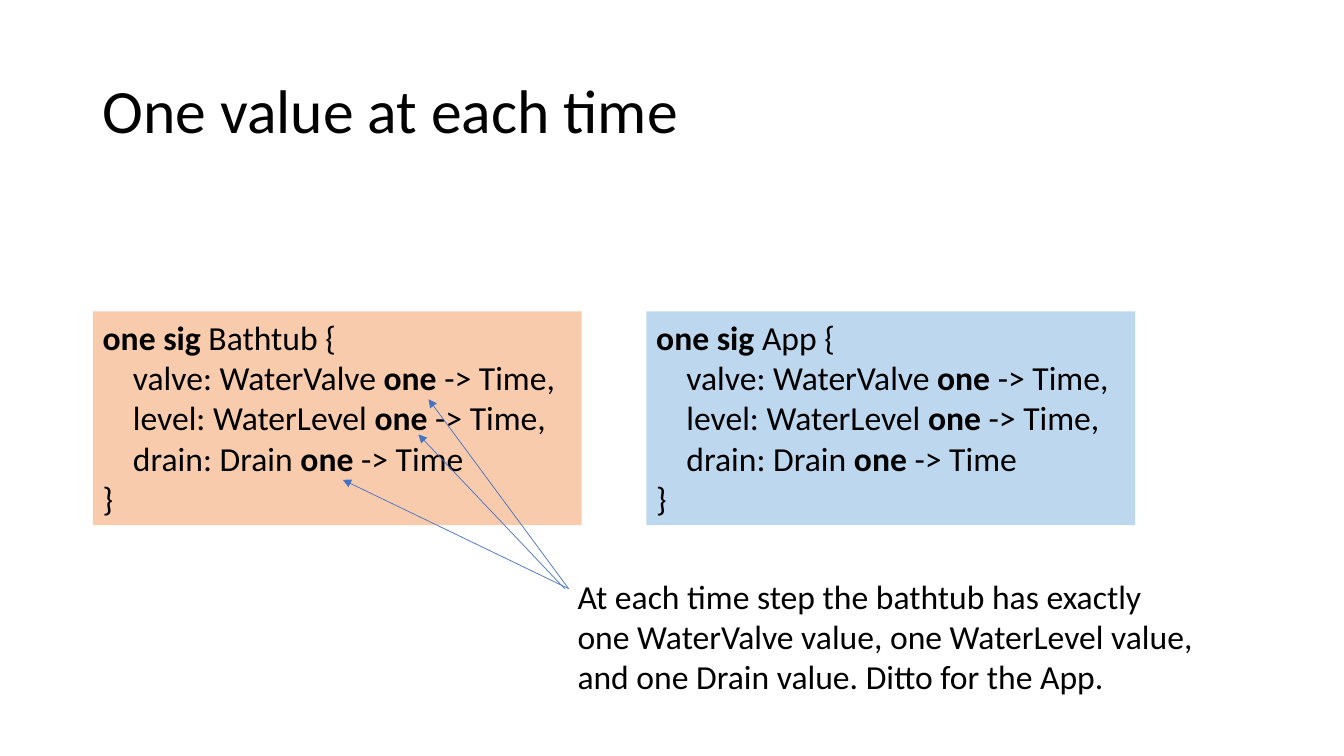
from lxml import etree
from pptx import Presentation
from pptx.dml.color import RGBColor
from pptx.enum.shapes import MSO_CONNECTOR, MSO_SHAPE
from pptx.enum.text import MSO_ANCHOR, PP_ALIGN
from pptx.oxml.ns import qn
from pptx.util import Inches, Pt

RECTANGLE = MSO_SHAPE.RECTANGLE
STRAIGHT = MSO_CONNECTOR.STRAIGHT
TOP, MIDDLE = MSO_ANCHOR.TOP, MSO_ANCHOR.MIDDLE
LEFT = PP_ALIGN.LEFT

TITLE = "One value at each time"
SIGNATURES = [("Bathtub", "bathtub"), ("App", "app")]
FIELDS = [
    ("valve: WaterValve ", " -> Time,"),
    ("level: WaterLevel ", " -> Time,"),
    ("drain: Drain ", " -> Time"),
]
NOTE = ("At each time step the bathtub has exactly one WaterValve value, "
        "one WaterLevel value, and one Drain value. Ditto for the App.")
ARROWS = [
    ((5.64, 5.84), (4.25, 3.96)),
    ((5.6, 5.84), (4.15, 4.31)),
    ((5.64, 5.84), (3.4, 4.76)),
]
COLORS = {"text": "000000", "bathtub": "F8CBAD", "app": "BDD7EE", "arrow": "4472C4"}
FONT = "Calibri"
WIDTH, HEIGHT = 13.33, 7.5
MARGIN = 0.92
BOX_TOP, BOX_WIDTH, BOX_HEIGHT, BOX_STEP = 3.09, 4.85, 2.12, 5.49
FIELD_INDENT = 0.3


def color(name):
    return RGBColor.from_string(COLORS[name])


def write_lines(shape, lines, size, anchor=TOP):
    frame = shape.text_frame
    frame.word_wrap = True
    frame.vertical_anchor = anchor
    for index, (indent, parts) in enumerate(lines):
        paragraph = frame.paragraphs[0] if index == 0 else frame.add_paragraph()
        paragraph.alignment = LEFT
        if indent:
            properties = paragraph._p.get_or_add_pPr()
            properties.set("marL", str(Inches(indent)))
            properties.set("indent", "0")
        for text, bold in parts:
            run = paragraph.add_run()
            run.text = text
            run.font.name = FONT
            run.font.size = Pt(size)
            run.font.bold = bold
            run.font.color.rgb = color("text")


def add_text(slide, area, text, size, anchor=TOP):
    box = slide.shapes.add_textbox(*map(Inches, area))
    write_lines(box, [(0, [(text, False)])], size, anchor)
    return box


def add_signature(slide, column, name, fill):
    area = (MARGIN + column * BOX_STEP, BOX_TOP, BOX_WIDTH, BOX_HEIGHT)
    box = slide.shapes.add_shape(RECTANGLE, *map(Inches, area))
    box.shadow.inherit = False
    box.fill.solid()
    box.fill.fore_color.rgb = color(fill)
    box.line.fill.background()
    fields = [(FIELD_INDENT, [(field, False), ("one", True), (target, False)])
              for field, target in FIELDS]
    opening = (0, [("one sig", True), (f" {name} {{", False)])
    write_lines(box, [opening, *fields, (0, [("}", False)])], 24)


def add_arrow(slide, start, end):
    arrow = slide.shapes.add_connector(STRAIGHT, *map(Inches, start + end))
    arrow.line.color.rgb = color("arrow")
    arrow.line.width = Pt(0.5)
    etree.SubElement(arrow.line._get_or_add_ln(), qn("a:tailEnd"), type="triangle")
    etree.SubElement(arrow._element.spPr, qn("a:effectLst"))


def main():
    presentation = Presentation()
    presentation.slide_width = Inches(WIDTH)
    presentation.slide_height = Inches(HEIGHT)
    slide = presentation.slides.add_slide(presentation.slide_layouts[6])

    title = add_text(slide, (MARGIN, 0.4, WIDTH - 2 * MARGIN, 1.45), TITLE, 44, MIDDLE)
    title.text_frame.paragraphs[0].line_spacing = 0.9
    for column, (name, fill) in enumerate(SIGNATURES):
        add_signature(slide, column, name, fill)
    for start, end in ARROWS:
        add_arrow(slide, start, end)
    add_text(slide, (5.63, 5.66, 6.37, 1.31), NOTE, 24)

    presentation.save("out.pptx")


if __name__ == "__main__":
    main()
